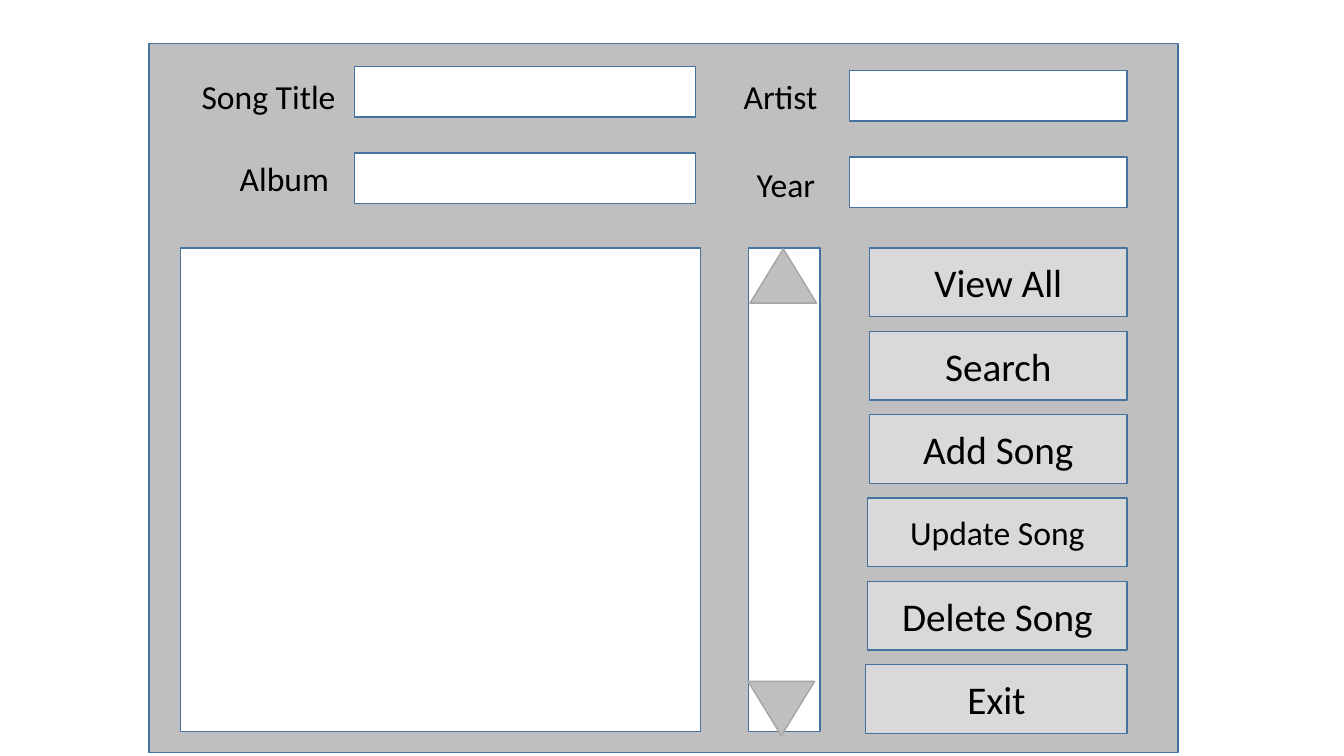
"""Build the window sketch of a song catalogue."""
from pptx import Presentation
from pptx import util as u
from pptx.dml.color import RGBColor
from pptx.enum import shapes, text

BLACK = RGBColor(0, 0, 0)
WHITE = RGBColor(255, 255, 255)
GREY = RGBColor(0xBF, 0xBF, 0xBF)
PALE = RGBColor(0xD9, 0xD9, 0xD9)
DARK = RGBColor(0xA6, 0xA6, 0xA6)
BLUE = RGBColor(0x43, 0x73, 0x9E)
RECT = shapes.MSO_SHAPE.RECTANGLE
ARROW = shapes.MSO_SHAPE.ISOSCELES_TRIANGLE

FIELDS = [
    ("Song Title", (4.83, 1.78, 6.3), (8.94, 1.68, 8.59)),
    ("Album", (5.79, 3.86, 6.3), (8.94, 3.86, 8.59)),
    ("Artist", (18.49, 1.8, 6.3), (21.41, 1.78, 6.99)),
    ("Year", (18.82, 4.01, 5.18), (21.41, 3.96, 6.99)),
]
BUTTONS = [
    ("View All", 6.48, 28),
    ("Search", 6.48, 28),
    ("Add Song", 6.48, 28),
    ("Update Song", 6.53, 24),
    ("Delete Song", 6.53, 28),
    ("Exit", 6.58, 28),
]
ROW = 1.27
TOP = 6.25
TALL = 12.19
RIGHT = 28.4
STEP = 2.1


def add_box(slide, place, fill, line=BLUE, kind=RECT):
    """Draw a filled, outlined shape placed in centimetres."""
    box = slide.shapes.add_shape(kind, *map(u.Cm, place))
    box.shadow.inherit = False
    box.fill.solid()
    box.fill.fore_color.rgb = fill
    box.line.color.rgb = line
    box.line.width = u.Pt(1)
    return box


def set_text(shape, words, size):
    """Write one line of black Calibri."""
    shape.text_frame.text = words
    font = shape.text_frame.paragraphs[0].runs[0].font
    font.name = "Calibri"
    font.size = u.Pt(size)
    font.color.rgb = BLACK


def add_field(slide, words, label, entry):
    """Draw an entry box with its label."""
    left, top, width = entry
    add_box(slide, (left, top, width, ROW), WHITE)
    left, top, width = label
    note = slide.shapes.add_textbox(*map(u.Cm, (left, top, width, ROW)))
    set_text(note, words, 24)
    note.text_frame.word_wrap = True
    note.text_frame.auto_size = text.MSO_AUTO_SIZE.SHAPE_TO_FIT_TEXT


def add_button(slide, row, words, width, size):
    """Draw a button in its row, flush with the right edge."""
    place = (RIGHT - width, TOP + row * STEP, width, 1.73)
    button = add_box(slide, place, PALE)
    set_text(button, words, size)
    button.text_frame.vertical_anchor = text.MSO_ANCHOR.MIDDLE
    button.text_frame.paragraphs[0].alignment = text.PP_ALIGN.CENTER


def add_scroll(slide):
    """Draw the scroll bar and its two arrows."""
    add_box(slide, (18.87, TOP, 1.8, TALL), WHITE)
    for left, top, turn in ((18.9, 6.27, 0), (18.85, 17.17, 180)):
        arrow = add_box(slide, (left, top, 1.68, 1.37), GREY, DARK, ARROW)
        arrow.rotation = turn


def main():
    """Build and save the slide."""
    deck = Presentation()
    deck.slide_width = u.Cm(33.87)
    deck.slide_height = u.Cm(19.05)
    slide = deck.slides.add_slide(deck.slide_layouts[6])
    add_box(slide, (3.76, 1.09, 25.93, 17.88), GREY)
    for field in FIELDS:
        add_field(slide, *field)
    add_box(slide, (4.55, TOP, 13.11, TALL), WHITE)
    for row, button in enumerate(BUTTONS):
        add_button(slide, row, *button)
    add_scroll(slide)
    deck.save("out.pptx")


main()
